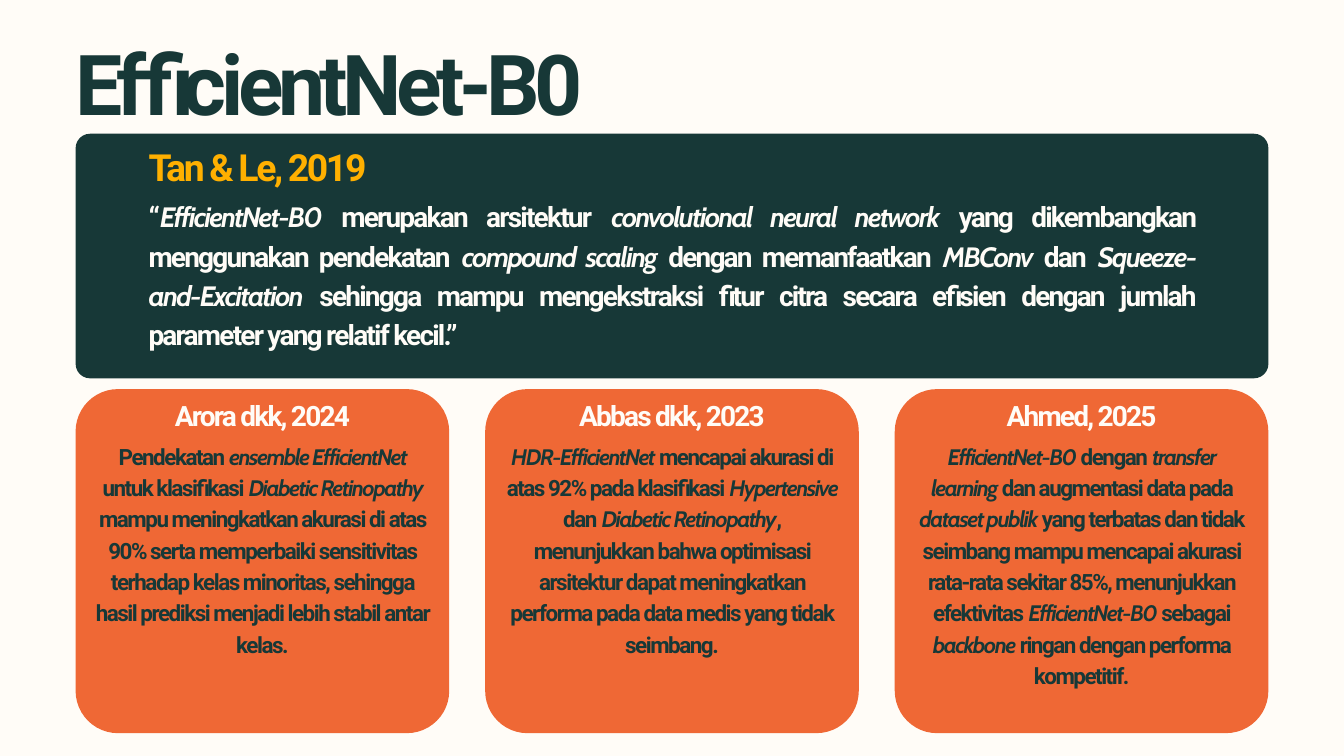
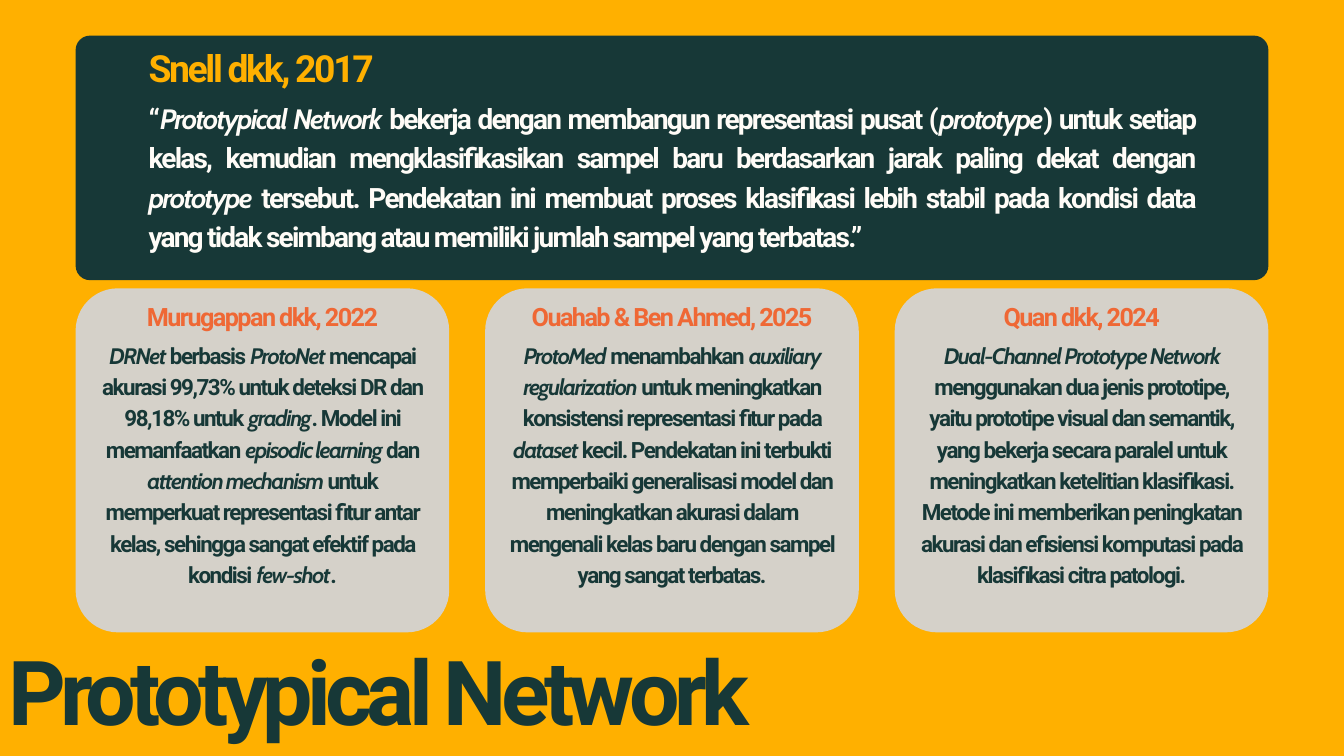
from dataclasses import dataclass

from pptx import Presentation
from pptx.dml.color import RGBColor
from pptx.enum import shapes, text
from pptx.util import Emu, Inches, Pt


# Theme: colours and type styles
@dataclass(frozen=True)
class TypeStyle:
    size: float
    leading: float
    tracking: float
    align: text.PP_ALIGN = text.PP_ALIGN.LEFT


@dataclass(frozen=True)
class Theme:
    cream: str = "FFFCF7"
    green: str = "173837"
    amber: str = "FFB000"
    orange: str = "EF6835"
    stone: str = "D5D1C9"
    upright_font: str = "Roboto"
    italic_font: str = "Cabin"
    quote_source: TypeStyle = TypeStyle(40, 40.8, -2.5)
    quote: TypeStyle = TypeStyle(30, 42, -1.9, text.PP_ALIGN.JUSTIFY)
    finding: TypeStyle = TypeStyle(24, 33.6, -1.6, text.PP_ALIGN.CENTER)


THEME = Theme()

# Grid: the slide is 200 columns wide, rows are as tall as columns are wide
SLIDE_W, SLIDE_H = Inches(20), Inches(11.25)
UNIT = SLIDE_W / 200
MARGIN = 11.25
CONTENT_W = 200 - 2 * MARGIN
CARD_W, CARD_H, CARD_RADIUS = 55.6, 51.2, 6.3
CARD_STEP = (CONTENT_W - CARD_W) / 2
CARD_PAD = 2.9
QUOTE_H, QUOTE_RADIUS, QUOTE_PAD = 36.4, 2.15, 10.85


@dataclass(frozen=True)
class Box:
    left: float
    top: float
    width: float
    height: float

    def emu(self) -> list[Emu]:
        return [Emu(round(n * UNIT))
                for n in (self.left, self.top, self.width, self.height)]

    def inset(self, side: float, top: float, height: float) -> "Box":
        return Box(self.left + side, self.top + top, self.width - 2 * side, height)


# Content: *asterisks* mark foreign terms, set in italics
@dataclass(frozen=True)
class Study:
    source: str
    words: str


@dataclass(frozen=True)
class Topic:
    title: str
    title_box: Box
    title_style: TypeStyle
    background: str
    quote_top: float
    quote: Study
    card_top: float
    card_fill: str
    source_color: str
    source_style: TypeStyle
    source_drop: float
    findings: tuple[Study, ...]


TOPICS = (
    Topic(
        title="EfficientNet-B0",
        title_box=Box(MARGIN, 6.9, 102.2, 13.3),
        title_style=TypeStyle(90, 91.8, -5.8),
        background=THEME.cream,
        quote_top=19.9,
        quote=Study(
            "Tan & Le, 2019",
            "“*EfficientNet-B0 *merupakan arsitektur *convolutional neural network *"
            "yang dikembangkan menggunakan pendekatan *compound scaling *dengan "
            "memanfaatkan *MBConv *dan *Squeeze-and-Excitation *sehingga mampu "
            "mengekstraksi fitur citra secara efisien dengan jumlah parameter yang "
            "relatif kecil.”"),
        card_top=57.9,
        card_fill=THEME.orange,
        source_color=THEME.cream,
        source_style=TypeStyle(30, 30.6, -1.9, text.PP_ALIGN.CENTER),
        source_drop=2.2,
        findings=(
            Study("Arora dkk, 2024",
                  "Pendekatan *ensemble EfficientNet *untuk klasifikasi *Diabetic "
                  "Retinopathy *mampu meningkatkan akurasi di atas 90% serta "
                  "memperbaiki sensitivitas terhadap kelas minoritas, sehingga hasil "
                  "prediksi menjadi lebih stabil antar kelas."),
            Study("Abbas dkk, 2023",
                  "*HDR-EfficientNet *mencapai akurasi di atas 92% pada klasifikasi "
                  "*Hypertensive *dan *Diabetic Retinopathy*, menunjukkan bahwa "
                  "optimisasi arsitektur dapat meningkatkan performa pada data medis "
                  "yang tidak seimbang."),
            Study("Ahmed, 2025",
                  "*EfficientNet-B0 *dengan *transfer learning *dan augmentasi data "
                  "pada *dataset publik *yang terbatas dan tidak seimbang mampu "
                  "mencapai akurasi rata-rata sekitar 85%, menunjukkan efektivitas "
                  "*EfficientNet-B0 *sebagai *backbone *ringan dengan performa "
                  "kompetitif."),
        ),
    ),
    Topic(
        title="Prototypical Network",
        title_box=Box(1.2, 97.1, 146.9, 14.2),
        title_style=TypeStyle(96, 97.9, -6.1),
        background=THEME.amber,
        quote_top=5.3,
        quote=Study(
            "Snell dkk, 2017",
            "“*Prototypical Network *bekerja dengan membangun representasi pusat "
            "(*prototype*) untuk setiap kelas, kemudian mengklasifikasikan sampel "
            "baru berdasarkan jarak paling dekat dengan *prototype *tersebut. "
            "Pendekatan ini membuat proses klasifikasi lebih stabil pada kondisi "
            "data yang tidak seimbang atau memiliki jumlah sampel yang terbatas.”"),
        card_top=42.9,
        card_fill=THEME.stone,
        source_color=THEME.orange,
        source_style=TypeStyle(27, 27.5, -1.7, text.PP_ALIGN.CENTER),
        source_drop=2.6,
        findings=(
            Study("Murugappan dkk, 2022",
                  "*DRNet *berbasis *ProtoNet *mencapai akurasi 99,73% untuk deteksi "
                  "DR dan 98,18% untuk *grading*. Model ini memanfaatkan *episodic "
                  "learning *dan *attention mechanism *untuk memperkuat representasi "
                  "fitur antar kelas, sehingga sangat efektif pada kondisi "
                  "*few-shot*."),
            Study("Ouahab & Ben Ahmed, 2025",
                  "*ProtoMed *menambahkan *auxiliary regularization *untuk "
                  "meningkatkan konsistensi representasi fitur pada *dataset *kecil. "
                  "Pendekatan ini terbukti memperbaiki generalisasi model dan "
                  "meningkatkan akurasi dalam mengenali kelas baru dengan sampel "
                  "yang sangat terbatas."),
            Study("Quan dkk, 2024",
                  "*Dual-Channel Prototype Network *menggunakan dua jenis prototipe, "
                  "yaitu prototipe visual dan semantik, yang bekerja secara paralel "
                  "untuk meningkatkan ketelitian klasifikasi. Metode ini memberikan "
                  "peningkatan akurasi dan efisiensi komputasi pada klasifikasi "
                  "citra patologi."),
        ),
    ),
)


# Drawing
def write(frame, words: str, style: TypeStyle, color: str) -> None:
    """Fill a text frame with one paragraph, switching font at each asterisk."""
    frame.margin_left = frame.margin_top = frame.margin_right = frame.margin_bottom = 0
    frame.word_wrap = True
    frame.auto_size = text.MSO_AUTO_SIZE.NONE
    frame.vertical_anchor = text.MSO_ANCHOR.TOP
    paragraph = frame.paragraphs[0]
    paragraph.alignment = style.align
    paragraph.line_spacing = Pt(style.leading)
    paragraph.font.size = Pt(style.size)
    paragraph.font.bold = True
    paragraph.font.color.rgb = RGBColor.from_string(color)
    phrases = words.split("*")
    if len(phrases) == 1:
        paragraph.font.name = THEME.upright_font
    for index, phrase in enumerate(phrases):
        if not phrase:
            continue
        run = paragraph.add_run()
        run.text = phrase
        if len(phrases) > 1:
            run.font.italic = index % 2 == 1
            run.font.name = THEME.italic_font if run.font.italic else THEME.upright_font
        run.font._element.set("spc", str(round(style.tracking * 100)))


def add_words(slide, box: Box, words: str, style: TypeStyle, color: str) -> None:
    write(slide.shapes.add_textbox(*box.emu()).text_frame, words, style, color)


def add_panel(slide, box: Box, radius: float, color: str) -> None:
    panel = slide.shapes.add_shape(
        shapes.MSO_SHAPE.ROUNDED_RECTANGLE, *box.emu())
    panel.adjustments[0] = radius / box.height
    panel.shadow.inherit = False
    panel.fill.solid()
    panel.fill.fore_color.rgb = RGBColor.from_string(color)
    panel.line.fill.background()


def add_title(slide, topic: Topic) -> None:
    title = slide.shapes.title
    title.left, title.top, title.width, title.height = topic.title_box.emu()
    write(title.text_frame, topic.title, topic.title_style, THEME.green)


def add_quote(slide, topic: Topic) -> None:
    panel = Box(MARGIN, topic.quote_top, CONTENT_W, QUOTE_H)
    add_panel(slide, panel, QUOTE_RADIUS, THEME.green)
    add_words(slide, panel.inset(QUOTE_PAD, 9, 23.3), topic.quote.words,
              THEME.quote, THEME.cream)
    add_words(slide, panel.inset(QUOTE_PAD, 2.5, 6), topic.quote.source,
              THEME.quote_source, THEME.amber)


def add_findings(slide, topic: Topic) -> None:
    for column, study in enumerate(topic.findings):
        card = Box(MARGIN + column * CARD_STEP, topic.card_top, CARD_W, CARD_H)
        add_panel(slide, card, CARD_RADIUS, topic.card_fill)
        add_words(slide, card.inset(CARD_PAD, topic.source_drop, 4.5), study.source,
                  topic.source_style, topic.source_color)
        add_words(slide, card.inset(CARD_PAD, 7.3, 41.2), study.words,
                  THEME.finding, THEME.green)


def main() -> None:
    deck = Presentation()
    deck.slide_width, deck.slide_height = SLIDE_W, SLIDE_H
    title_only = deck.slide_layouts[5]
    for topic in TOPICS:
        slide = deck.slides.add_slide(title_only)
        slide.background.fill.solid()
        slide.background.fill.fore_color.rgb = RGBColor.from_string(topic.background)
        add_title(slide, topic)
        add_quote(slide, topic)
        add_findings(slide, topic)
    deck.save("out.pptx")


if __name__ == "__main__":
    main()
